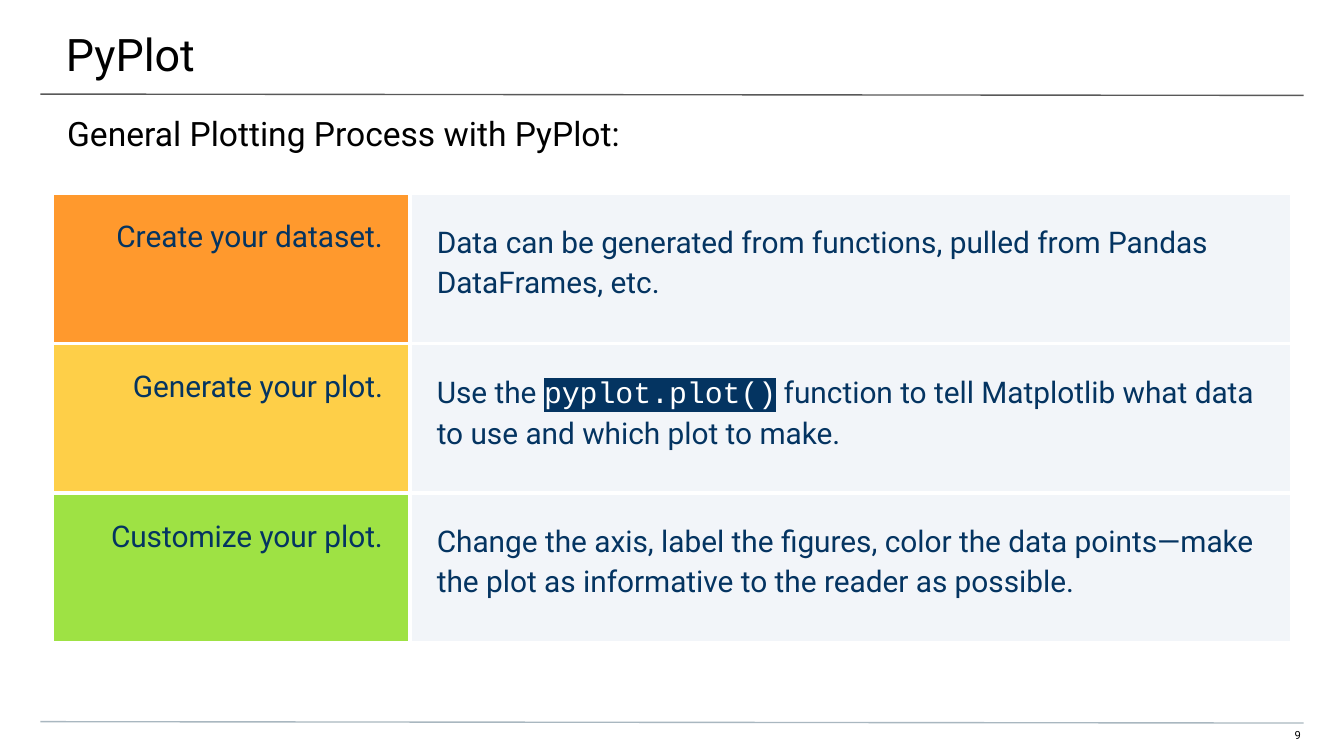
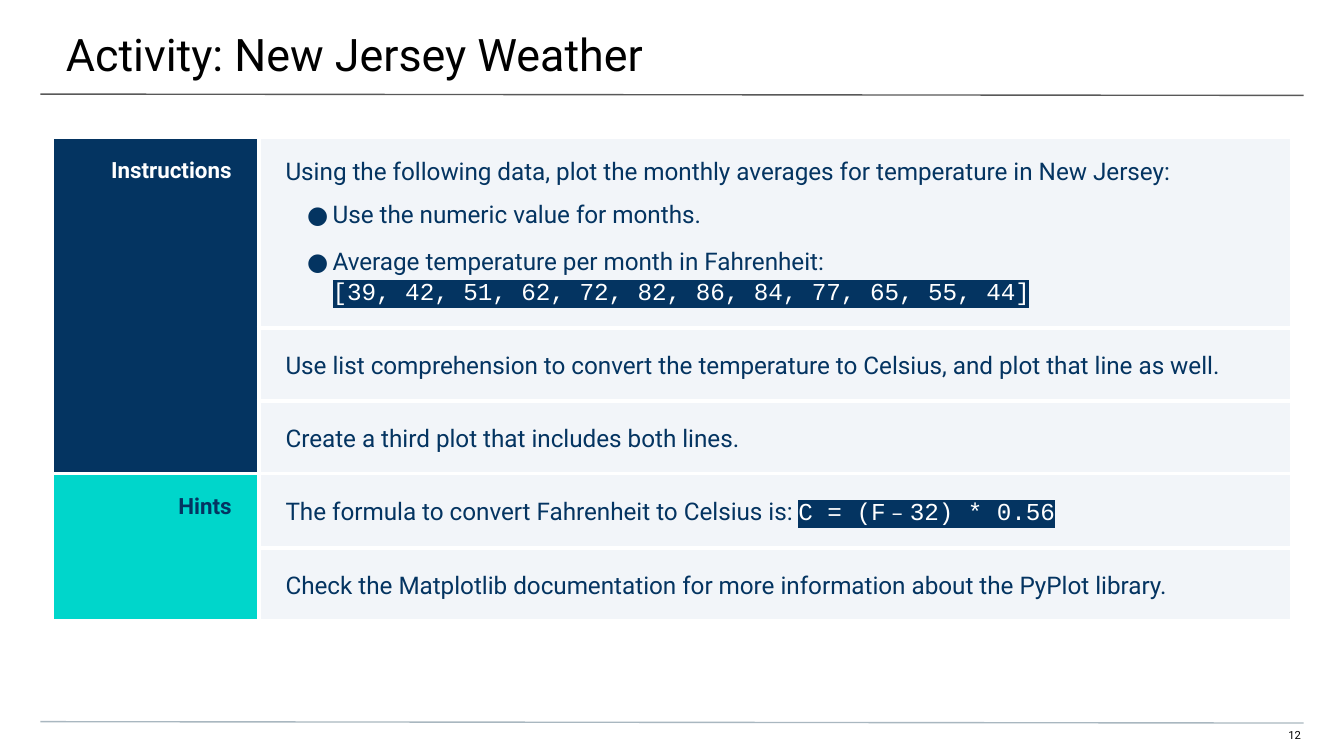
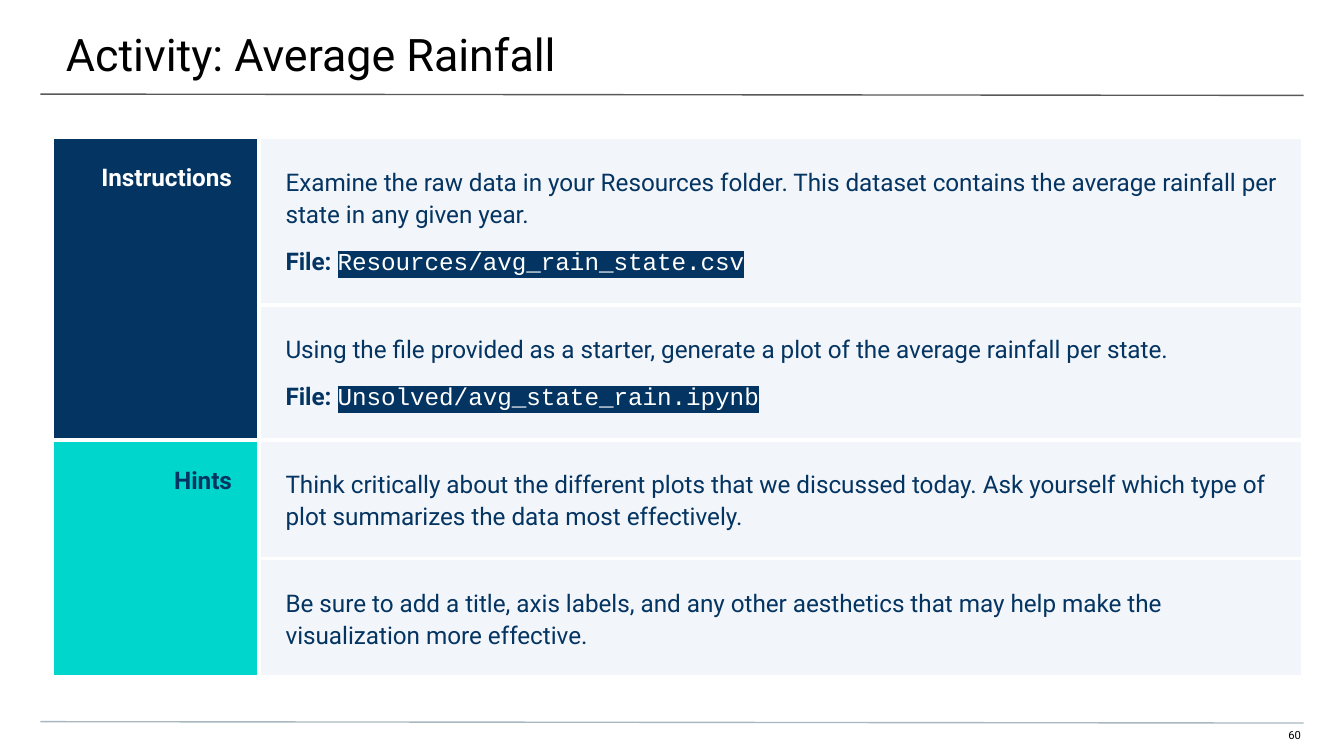
from dataclasses import dataclass

from lxml import etree
from pptx import Presentation
from pptx.dml.color import RGBColor
from pptx.enum.shapes import MSO_CONNECTOR
from pptx.enum.text import MSO_ANCHOR, MSO_AUTO_SIZE, PP_ALIGN
from pptx.oxml.ns import qn
from pptx.util import Emu, Inches, Pt

WIDE = Inches(10)
HIGH = WIDE * 9 // 16
UNIT = WIDE // 100
LINE, TOP = MSO_CONNECTOR.STRAIGHT, MSO_ANCHOR.TOP
LEFT, RIGHT = PP_ALIGN.LEFT, PP_ALIGN.RIGHT
NO_FIT = MSO_AUTO_SIZE.NONE
SANS, MONO = "Roboto", "Courier New"

BLACK = RGBColor(0x00, 0x00, 0x00)
WHITE = RGBColor(0xFF, 0xFF, 0xFF)
GREY = RGBColor(0x59, 0x59, 0x59)
STEEL = RGBColor(0xA9, 0xB7, 0xC0)
NAVY = RGBColor(0x04, 0x34, 0x61)
PALE = RGBColor(0xF2, 0xF5, 0xF9)
ORANGE = RGBColor(0xFF, 0x99, 0x2D)
YELLOW = RGBColor(0xFE, 0xCF, 0x48)
GREEN = RGBColor(0x9E, 0xE2, 0x44)
TEAL = RGBColor(0x00, 0xD6, 0xCB)


@dataclass
class Para:
    """A paragraph; backticks mark code and a line feed breaks the line."""
    text: str
    lead: str = ""
    before: int = 0
    after: int = 0
    lines: float = 1.15
    dot: bool = False


@dataclass
class Group:
    """A label cell and the stacked cells beside it."""
    label: str
    fill: RGBColor
    ink: RGBColor
    cells: list


@dataclass
class Look:
    """Text sizes and cell padding of a table."""
    size: int
    label: int
    bold: bool
    pad: float


def units(*counts):
    """Turn counts of grid units into lengths."""
    return [Emu(round(n * UNIT)) for n in counts]


def add_xml(parent, tag, **attrs):
    """Append an element with the given attributes."""
    return etree.SubElement(parent, qn(tag), attrs)


def add_color(parent, tag, color):
    """Append an element that holds a plain colour."""
    add_xml(add_xml(parent, tag), "a:srgbClr", val=str(color))


def style(font, size, color, bold=False):
    """Set the sans font."""
    font.name, font.size, font.bold = SANS, Pt(size), bold
    font.color.rgb = color


def pad(item, left, top, right, bottom):
    """Set the four margins of a frame or a cell."""
    (item.margin_left, item.margin_top,
     item.margin_right, item.margin_bottom) = units(left, top, right, bottom)


def write(shape, text, size, inset, align=LEFT):
    """Fill a shape with one line of black text."""
    frame = shape.text_frame
    frame.text, frame.word_wrap = text, True
    frame.auto_size, frame.vertical_anchor = NO_FIT, TOP
    pad(frame, *inset)
    para = frame.paragraphs[0]
    para.alignment = align
    style(para.font, size, BLACK)


def rule(slide, top, color):
    """Draw a thin line across the slide."""
    line = slide.shapes.add_connector(LINE, *units(3, top, 97, top + 0.1))
    line.line.color.rgb, line.line.width = color, Pt(0.75)
    add_xml(line._element.spPr, "a:effectLst")


def start(deck, title, page):
    """Add a slide with its title, rules and page number."""
    slide = deck.slides.add_slide(deck.slide_layouts[5])
    head = slide.shapes.title
    head.left, head.top, head.width, head.height = units(-0.1, 0, 100.3, 5.8)
    write(head, title, 24, (5, 2, 3, 1))
    rule(slide, 7, GREY)
    rule(slide, 53.7, STEEL)
    foot = slide.shapes.add_textbox(*units(94.1, 54.2, 2.9, 1.2))
    write(foot, f"{page} ", 6, (0, 0, 0, 1), RIGHT)
    return slide


def add_code(para, text):
    """Add a run of white code on navy."""
    run = para.add_run()
    run.text = text
    run.font.color.rgb = WHITE
    add_color(run._r.get_or_add_rPr(), "a:highlight", NAVY)
    run.font.name = MONO


def add_text(para, item, size):
    """Write one body paragraph."""
    para.line_spacing = item.lines
    para.space_before, para.space_after = Pt(item.before), Pt(item.after)
    if item.dot:
        props = para._p.get_or_add_pPr()
        props.set("marL", str(Inches(0.35)))
        props.set("indent", str(Inches(-0.19)))
        add_color(props, "a:buClr", NAVY)
        add_xml(props, "a:buFont", typeface=SANS)
        add_xml(props, "a:buChar", char="●")
    style(para.font, size, NAVY)
    if item.lead:
        run = para.add_run()
        run.text, run.font.bold = item.lead, True
    for i, part in enumerate(item.text.split("`")):
        if i % 2:
            add_code(para, part)
            continue
        for j, line in enumerate(part.split("\n")):
            if j:
                para.add_line_break()
            if line:
                para.add_run().text = line


def dress(cell, fill, margin):
    """Give a cell its borders, fill and margins."""
    props = cell._tc.get_or_add_tcPr()
    for side in "LRTB":
        edge = add_xml(props, f"a:ln{side}", w=str(Pt(2.25)))
        add_color(edge, "a:solidFill", WHITE)
    cell.fill.solid()
    cell.fill.fore_color.rgb = fill
    pad(cell, 2, margin, 2, margin)


def add_label(cell, group, look):
    """Write the label of a group at the right of its cell."""
    cell.text = group.label
    para = cell.text_frame.paragraphs[0]
    para.alignment = RIGHT
    style(para.font, look.label, group.ink, look.bold)


def add_grid(slide, left, top, cols, rows, groups, look):
    """Place a table of labelled groups."""
    box = units(left, top, sum(cols), sum(rows))
    table = slide.shapes.add_table(len(rows), len(cols), *box).table
    table.first_row = table.horz_banding = False
    for col, width in zip(table.columns, units(*cols)):
        col.width = width
    for row, height in zip(table.rows, units(*rows)):
        row.height = height
    first = 0
    for group in groups:
        for r, items in enumerate(group.cells, first):
            dress(table.cell(r, 0), group.fill, look.pad)
            body = table.cell(r, 1)
            dress(body, PALE, look.pad)
            frame = body.text_frame
            for i, item in enumerate(items):
                para = frame.add_paragraph() if i else frame.paragraphs[0]
                add_text(para, item, look.size)
        last = first + len(group.cells) - 1
        if last > first:
            table.cell(first, 0).merge(table.cell(last, 0))
        add_label(table.cell(first, 0), group, look)
        first = last + 1


def process(deck):
    """Build the slide on the plotting process."""
    slide = start(deck, "PyPlot", 9)
    sub = slide.shapes.add_textbox(*units(0, 7.4, 100, 4))
    write(sub, "General Plotting Process with PyPlot:", 18, (5, 1, 5, 0))
    steps = [
        ("Create your dataset.", ORANGE,
         "Data can be generated from functions, pulled from Pandas "
         "DataFrames, etc."),
        ("Generate your plot.", YELLOW,
         "Use the `pyplot.plot()` function to tell Matplotlib what data "
         "to use and which plot to make."),
        ("Customize your plot.", GREEN,
         "Change the axis, label the figures, color the data points—make "
         "the plot as informative to the reader as possible."),
    ]
    groups = [Group(label, fill, NAVY, [[Para(text)]])
              for label, fill, text in steps]
    add_grid(slide, 3.9, 14.4, (26.6, 65.6), [11.15] * 3, groups,
             Look(16, 16, False, 2))


def activity(deck, title, page, width, rows, tasks, hints, look):
    """Build an activity slide with instructions and hints."""
    slide = start(deck, title, page)
    groups = [Group("Instructions", NAVY, WHITE, tasks),
              Group("Hints", TEAL, NAVY, hints)]
    add_grid(slide, 3.9, 10.24, (15.35, width), rows, groups, look)


def weather(deck):
    """Build the activity on New Jersey weather."""
    tasks = [
        [Para("Using the following data, plot the monthly averages for "
              "temperature in New Jersey:", lines=1.0),
         Para("Use the numeric value for months.",
              before=8, lines=1.0, dot=True),
         Para("Average temperature per month in Fahrenheit: \n"
              "`[39, 42, 51, 62, 72, 82, 86, 84, 77, 65, 55, 44]`",
              before=8, after=8, dot=True)],
        [Para("Use list comprehension to convert the temperature to "
              "Celsius, and plot that line as well.")],
        [Para("Create a third plot that includes both lines.")],
    ]
    hints = [
        [Para("The formula to convert Fahrenheit to Celsius is: "
              "`C = (F﹣32) * 0.56` ")],
        [Para("Check the Matplotlib documentation for more information "
              "about the PyPlot library.")],
    ]
    activity(deck, "Activity: New Jersey Weather", 12, 76.9,
             (13.3, 4.1, 4.1, 5.3, 5.1), tasks, hints,
             Look(13, 12, True, 1.5))


def rainfall(deck):
    """Build the activity on average rainfall."""
    tasks = [
        [Para("Examine the raw data in your Resources folder. This dataset "
              "contains the average rainfall per state in any given year."),
         Para("`Resources/avg_rain_state.csv`", lead="File: ", before=8)],
        [Para("Using the file provided as a starter, generate a plot of the "
              "average rainfall per state."),
         Para("`Unsolved/avg_state_rain.ipynb`", lead="File: ", before=8)],
    ]
    hints = [
        [Para("Think critically about the different plots that we discussed "
              "today. Ask yourself which type of plot summarizes the data "
              "most effectively.")],
        [Para("Be sure to add a title, axis labels, and any other aesthetics "
              "that may help make the visualization more effective.")],
    ]
    activity(deck, "Activity: Average Rainfall", 60, 77.7,
             (5.2, 6.2, 5.3, 5.3), tasks, hints, Look(13, 13, True, 2))


def main():
    """Build and save the deck."""
    deck = Presentation()
    deck.slide_width, deck.slide_height = WIDE, HIGH
    for build in (process, weather, rainfall):
        build(deck)
    deck.save("out.pptx")


if __name__ == "__main__":
    main()
